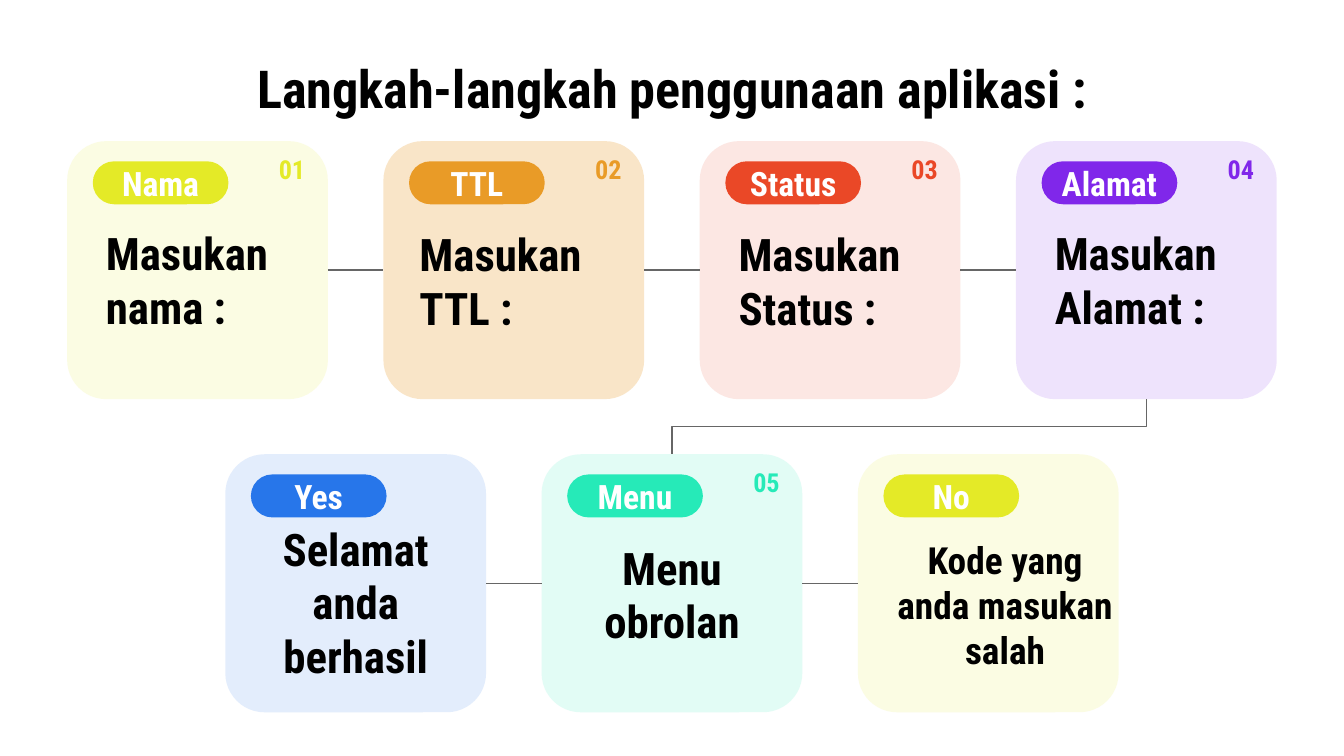
from lxml.etree import SubElement
from pptx import Presentation
from pptx.dml.color import RGBColor
from pptx.enum.shapes import MSO_CONNECTOR, MSO_SHAPE
from pptx.enum.text import MSO_ANCHOR, PP_ALIGN
from pptx.oxml.ns import qn
from pptx.util import Inches, Pt

FONT = "Roboto Condensed"
LEFT, CENTER, RIGHT = PP_ALIGN.LEFT, PP_ALIGN.CENTER, PP_ALIGN.RIGHT
WIDE, TALL = 1.94, 1.92
EDGE = 0.5
PITCH = (10 - 2 * EDGE - WIDE) / 3
UPPER, LOWER = 1.05, 3.38

STEPS = [
    ("Nama", "01", "E4EA27", 13, "Masukan nama :", 0.19, 0.70),
    ("TTL", "02", "E99B27", 25, "Masukan TTL :", 0.17, 0.71),
    ("Status", "03", "EA4827", 13, "Masukan Status :", 0.19, 0.71),
    ("Alamat", "04", "8027EA", 13, "Masukan Alamat :", 0.19, 0.70),
]
ENDS = [
    ("Yes", "", "2776EA", 13, "Selamat anda berhasil", 0.17, 0.77),
    ("Menu", "05", "26EAB8", 13, "Menu obrolan", 0.17, 0.71),
    ("No", "", "E4EA27", 13, "Kode yang anda masukan salah", 0.19, 0.79),
]


def color(code):
    return RGBColor.from_string(code)


def write(shape, text, size, code, align):
    frame = shape.text_frame
    frame.text = text
    frame.word_wrap = True
    frame.vertical_anchor = MSO_ANCHOR.MIDDLE
    frame.margin_left = frame.margin_right = Inches(0.1)
    frame.margin_top = frame.margin_bottom = Inches(0.1)
    para = frame.paragraphs[0]
    para.alignment = align
    font = para.runs[0].font
    font.name, font.size, font.bold = FONT, Pt(size), True
    font.color.rgb = color(code)


def add_text(slide, box, text, size, code, align):
    label = slide.shapes.add_textbox(*map(Inches, box))
    write(label, text, size, code, align)


def add_round(slide, box, curve, code, alpha=100):
    shape = slide.shapes.add_shape(MSO_SHAPE.ROUNDED_RECTANGLE, *map(Inches, box))
    shape.adjustments[0] = curve
    shape.shadow.inherit = False
    shape.line.fill.background()
    shape.fill.solid()
    shape.fill.fore_color.rgb = color(code)
    if alpha < 100:
        tint = shape._element.spPr.find(".//" + qn("a:srgbClr"))
        SubElement(tint, qn("a:alpha")).set("val", str(alpha * 1000))
    return shape


def add_card(slide, x, y, step, align, size=24, span=1.6):
    name, number, code, alpha, text, dx, dy = step
    card = add_round(slide, (x, y, WIDE, TALL), 0.152, code, alpha)
    pill = add_round(slide, (x + 0.19, y + 0.15, 1.01, 0.32), 0.5, code)
    write(pill, name, 18, "FFFFFF", CENTER)
    if number:
        add_text(slide, (x + 1.46, y, 0.41, 0.41), number, 14, code, RIGHT)
    add_text(slide, (x + dx, y + dy, span, 0.66), text, size, "000000", align)
    return card


def add_link(slide, kind, start, exit, stop, entry):
    link = slide.shapes.add_connector(kind, 0, 0, 0, 0)
    link.begin_connect(start, exit)
    link.end_connect(stop, entry)
    link.line.color.rgb = color("666666")
    link.line.width = Pt(0.75)
    SubElement(link._element.spPr, qn("a:effectLst"))
    return link


def add_bend(slide, start, stop):
    link = add_link(slide, MSO_CONNECTOR.ELBOW, start, 2, stop, 0)
    wide, tall = link.width, link.height
    link.left += (wide - tall) // 2
    link.top += (tall - wide) // 2
    link.width, link.height = tall, wide
    frame = link._element.spPr.find(qn("a:xfrm"))
    frame.set("rot", "5400000")
    frame.set("flipH", "0")


def main():
    deck = Presentation()
    deck.slide_width, deck.slide_height = Inches(10), Inches(10 * 9 / 16)
    slide = deck.slides.add_slide(deck.slide_layouts[6])
    title = "Langkah-langkah penggunaan aplikasi :"
    add_text(slide, (EDGE, 0.45, 9, 0.41), title, 28, "000000", CENTER)

    steps = [add_card(slide, EDGE + i * PITCH, UPPER, step, LEFT)
             for i, step in enumerate(STEPS)]
    ends = []
    for i, step in enumerate(ENDS):
        size, span = (20, 1.81) if step[0] == "No" else (24, 1.6)
        x = EDGE + (i + 0.5) * PITCH
        ends.append(add_card(slide, x, LOWER, step, CENTER, size, span))

    for row in (steps, ends):
        for start, stop in zip(row, row[1:]):
            add_link(slide, MSO_CONNECTOR.STRAIGHT, start, 3, stop, 1)
    add_bend(slide, steps[-1], ends[1])
    deck.save("out.pptx")


if __name__ == "__main__":
    main()
